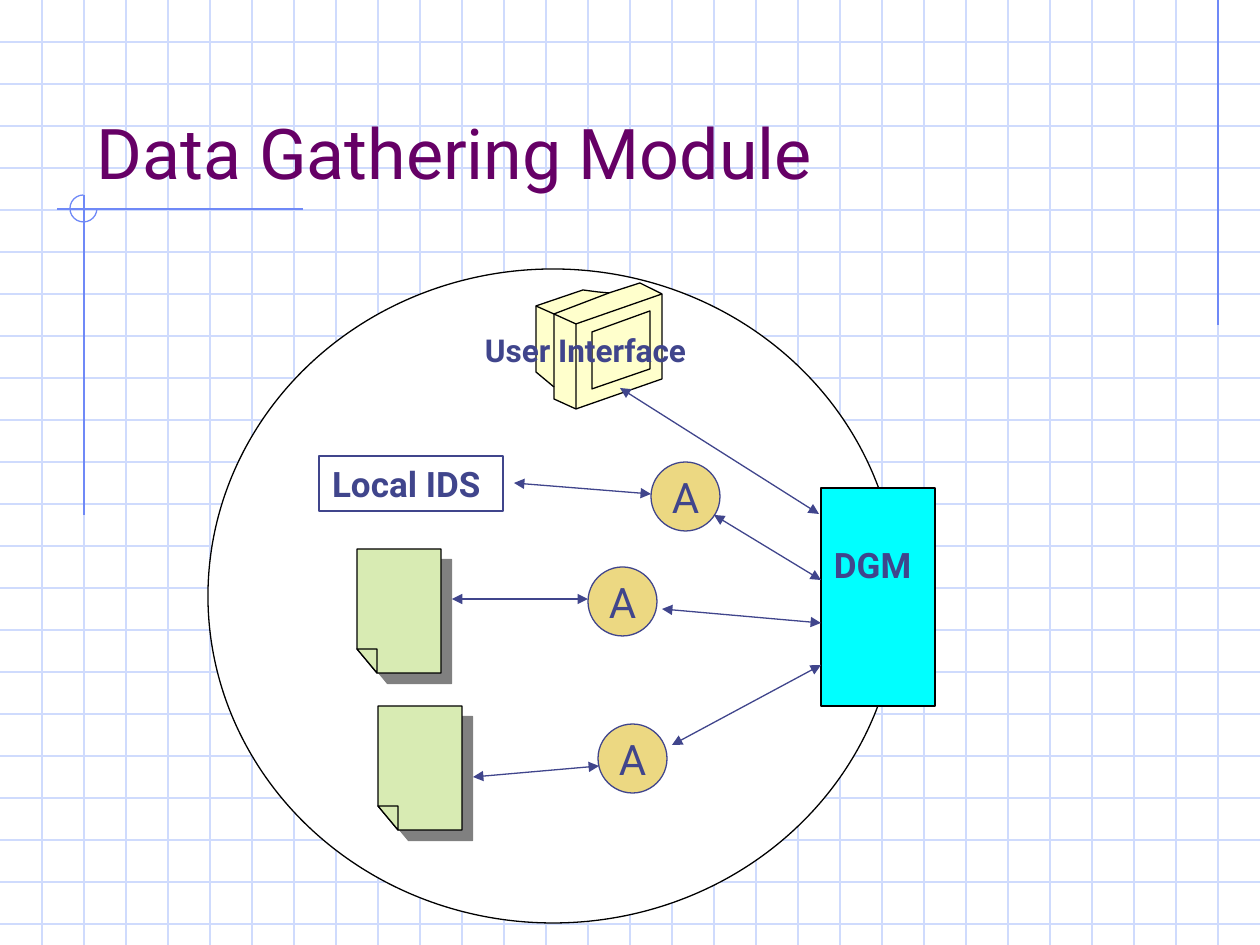
from dataclasses import dataclass
from lxml.etree import SubElement
from pptx import Presentation
from pptx.dml.color import RGBColor
from pptx.enum.shapes import MSO_CONNECTOR, MSO_SHAPE
from pptx.enum.text import MSO_ANCHOR, PP_ALIGN
from pptx.oxml.ns import qn
from pptx.util import Pt

PX = 914400 / 126
WIDTH, HEIGHT, GRID = 1260, 945, 42
FONT = "Roboto"
COLORS = {
    "grid": "CFDBFD", "accent": "6F89F7", "title": "660066", "ink": "40458C",
    "black": "000000", "white": "FFFFFF", "module": "00FFFF",
    "agent": "ECD882", "page": "D8EBB3", "monitor": "FFFFCC", "shadow": "808080",
}
Point = tuple[int, int]


@dataclass(frozen=True)
class Box:
    x: int
    y: int
    w: int
    h: int

    def emu(self) -> list[int]:
        return [emu(v) for v in (self.x, self.y, self.w, self.h)]


@dataclass(frozen=True)
class Line:
    start: Point
    end: Point


@dataclass(frozen=True)
class Label:
    text: str
    size: int
    color: str = "ink"
    bold: bool = False
    align: PP_ALIGN = PP_ALIGN.LEFT
    anchor: MSO_ANCHOR = MSO_ANCHOR.TOP
    top: int = 6
    wrap: bool = True


def emu(px: int) -> int:
    return round(px * PX)


def rgb(name: str) -> RGBColor:
    return RGBColor.from_string(COLORS[name])


def style(sp, fill: str | None, line: str, width: float = 0.75) -> None:
    sp.shadow.inherit = False
    if fill:
        sp.fill.solid()
        sp.fill.fore_color.rgb = rgb(fill)
    else:
        sp.fill.background()
    sp.line.color.rgb = rgb(line)
    sp.line.width = Pt(width)


def write(sp, label: Label) -> None:
    tf = sp.text_frame
    tf.word_wrap = label.wrap
    tf.vertical_anchor = label.anchor
    tf.margin_left = tf.margin_right = emu(13)
    tf.margin_top, tf.margin_bottom = emu(label.top), emu(6)
    p = tf.paragraphs[0]
    p.alignment = label.align
    r = p.add_run()
    r.text = label.text
    r.font.name = FONT
    r.font.size = Pt(label.size)
    r.font.bold = label.bold
    r.font.color.rgb = rgb(label.color)


def add_text(s, box: Box, label: Label) -> None:
    write(s.shapes.add_textbox(*box.emu()), label)


def add_preset(s, kind: MSO_SHAPE, box: Box, fill: str | None, line: str,
               width: float = 0.75, label: Label | None = None):
    sp = s.shapes.add_shape(kind, *box.emu())
    style(sp, fill, line, width)
    if label:
        write(sp, label)
    return sp


def add_line(s, line: Line, color: str, arrows: bool = False) -> None:
    ends = [emu(v) for v in (*line.start, *line.end)]
    cxn = s.shapes.add_connector(MSO_CONNECTOR.STRAIGHT, *ends)
    cxn.line.color.rgb = rgb(color)
    cxn.line.width = Pt(0.75)
    if arrows:
        ln = cxn.line._get_or_add_ln()
        for end in ("a:headEnd", "a:tailEnd"):
            SubElement(ln, qn(end), type="triangle")
    SubElement(cxn._element.spPr, qn("a:effectLst"))


def add_outline(s, paths: list[list[Point]], fill: str | None, close: bool = True):
    fb = s.shapes.build_freeform(*paths[0][0], scale=PX)
    for i, path in enumerate(paths):
        if i:
            fb.move_to(*path[0])
        fb.add_line_segments(path[1:], close=close)
    sp = fb.convert_to_shape()
    style(sp, fill, "black")
    return sp


def add_page(s, x: int, y: int) -> None:
    w, h, fold_w, fold_y = 84, 124, 20, 100
    corner, cut = (x, y + fold_y), (x + fold_w, y + h)
    body = add_outline(s, [[(x, y), (x + w, y), (x + w, y + h), cut, corner]], "page")
    effects = body._element.spPr.find(qn("a:effectLst"))
    shadow = SubElement(effects, qn("a:outerShdw"), dist=str(Pt(8.5)), dir="2700000",
                        algn="ctr", rotWithShape="0")
    SubElement(shadow, qn("a:srgbClr"), val=COLORS["shadow"])
    add_outline(s, [[corner, (x + fold_w, y + fold_y), cut]], "page")


def add_monitor(s) -> None:
    add_outline(s, [[(576, 409), (554, 399), (554, 387), (536, 372), (536, 306),
                     (583, 290), (598, 292), (609, 293), (640, 283), (662, 294),
                     (662, 379)]], "monitor")
    add_outline(s, [
        [(536, 306), (554, 314), (576, 324)],
        [(650, 369), (650, 311), (592, 332), (592, 389), (650, 369)],
        [(554, 387), (554, 314), (609, 293)],
        [(662, 294), (576, 324), (576, 409)],
    ], None, close=False)


ACCENTS = [Line((1218, 0), (1218, 325)), Line((303, 209), (57, 209)),
           Line((84, 195), (84, 515))]
AGENTS = [(651, 462), (588, 567), (598, 724)]
PAGES = [(378, 706), (357, 549)]
LINKS = [
    Line((714, 515), (821, 580)), Line((662, 609), (821, 623)),
    Line((672, 745), (821, 665)), Line((473, 777), (599, 766)),
    Line((514, 483), (651, 494)), Line((452, 599), (588, 599)),
    Line((620, 388), (819, 514)),
]


def main() -> None:
    prs = Presentation()
    prs.slide_width, prs.slide_height = emu(WIDTH), emu(HEIGHT)
    s = prs.slides.add_slide(prs.slide_layouts[6])

    # Graph-paper background
    for y in range(GRID, HEIGHT, GRID):
        add_line(s, Line((0, y), (WIDTH, y)), "grid")
    for x in range(GRID, WIDTH, GRID):
        add_line(s, Line((x, 0), (x, HEIGHT)), "grid")

    # Accent lines and three-quarter arc
    for line in ACCENTS:
        add_line(s, line, "accent")
    arc = add_preset(s, MSO_SHAPE.ARC, Box(70, 195, 27, 27), None, "accent")
    arc.adjustments[0], arc.adjustments[1] = 0, 162

    # Title
    add_text(s, Box(84, 42, 1071, 157),
             Label("Data Gathering Module", 40, "title", anchor=MSO_ANCHOR.BOTTOM))

    # Host boundary and module
    add_preset(s, MSO_SHAPE.OVAL, Box(208, 269, 690, 654), "white", "black")
    add_preset(s, MSO_SHAPE.RECTANGLE, Box(821, 488, 114, 218), "module", "black",
               label=Label("DGM", 20, bold=True, top=55))

    # Agents and their data sources
    agent = Label("A", 24, align=PP_ALIGN.CENTER, anchor=MSO_ANCHOR.MIDDLE, wrap=False)
    for x, y in AGENTS:
        add_preset(s, MSO_SHAPE.OVAL, Box(x, y, 69, 69), "agent", "ink", label=agent)
    add_preset(s, MSO_SHAPE.RECTANGLE, Box(319, 456, 184, 55), None, "ink", 1.5,
               Label("Local IDS", 20, bold=True))
    for x, y in PAGES:
        add_page(s, x, y)

    # User interface and links
    add_monitor(s)
    for link in LINKS:
        add_line(s, link, "ink", arrows=True)
    add_text(s, Box(472, 325, 251, 50), Label("User Interface", 18, bold=True))

    prs.save("out.pptx")


if __name__ == "__main__":
    main()
